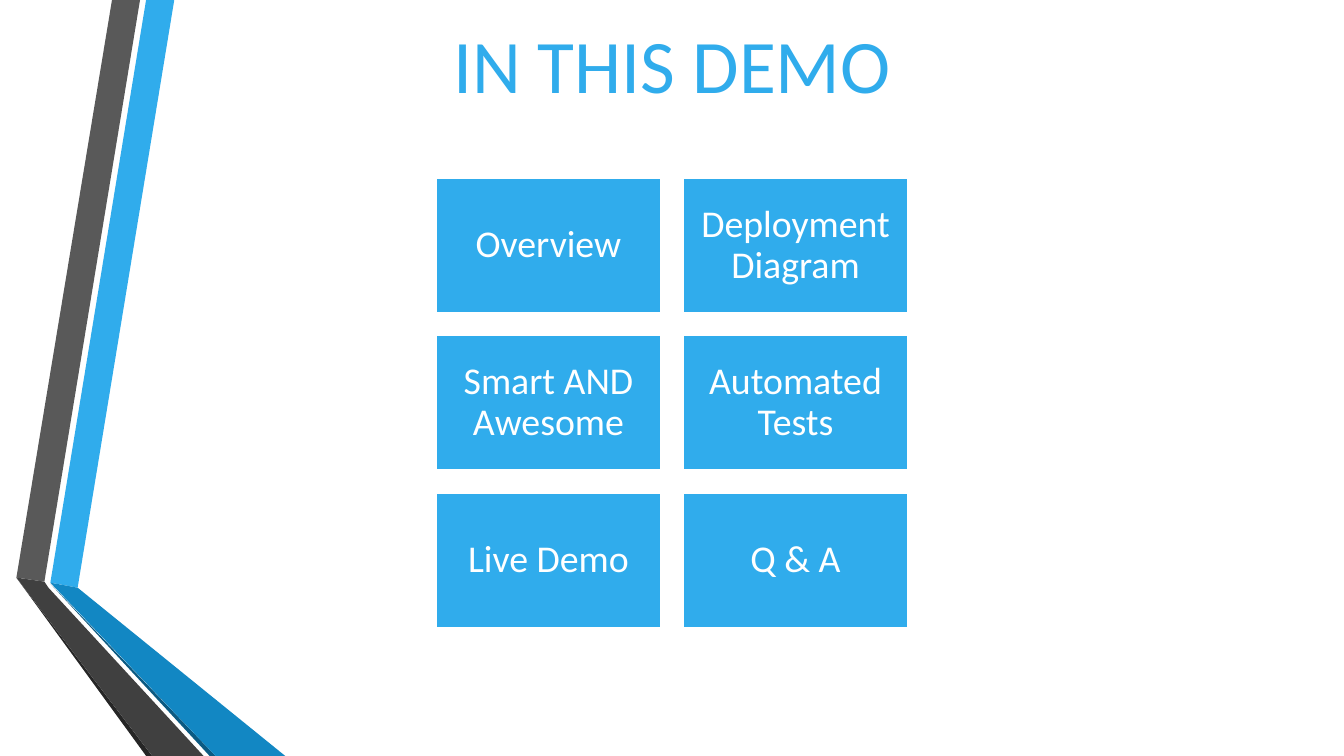
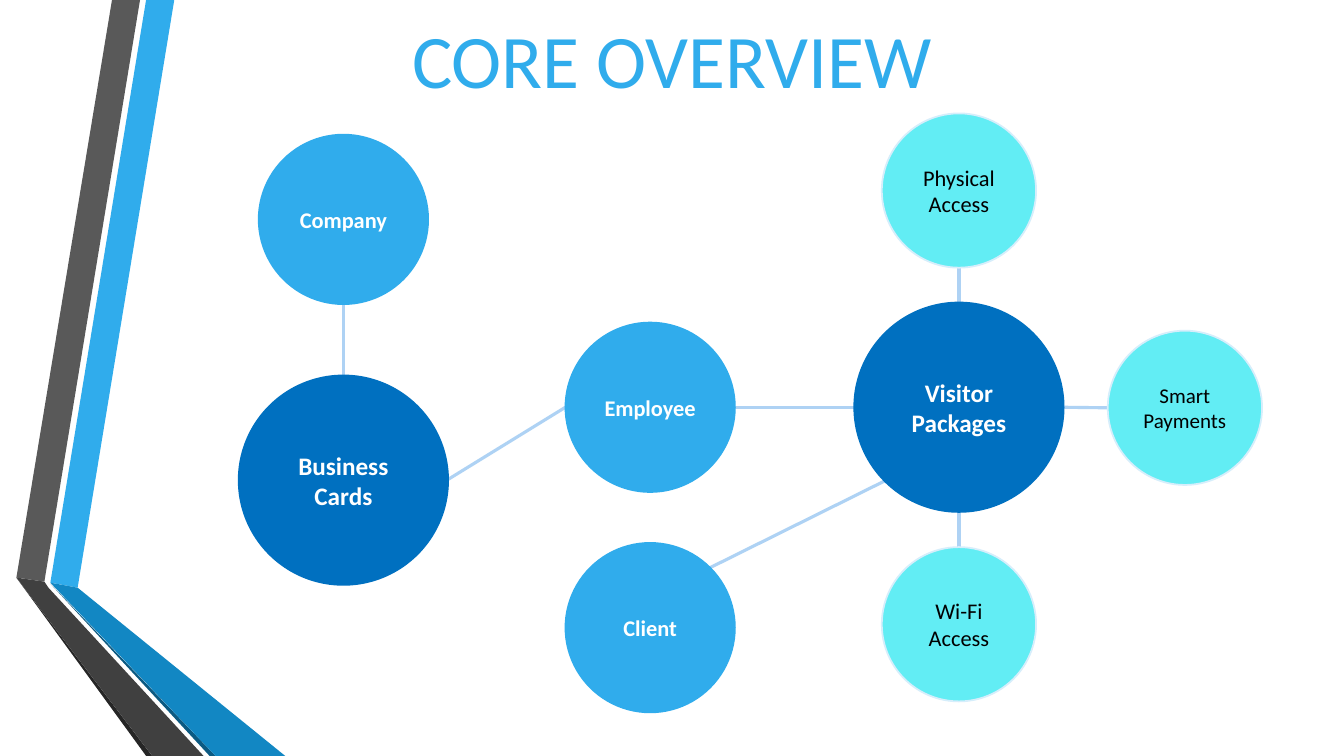
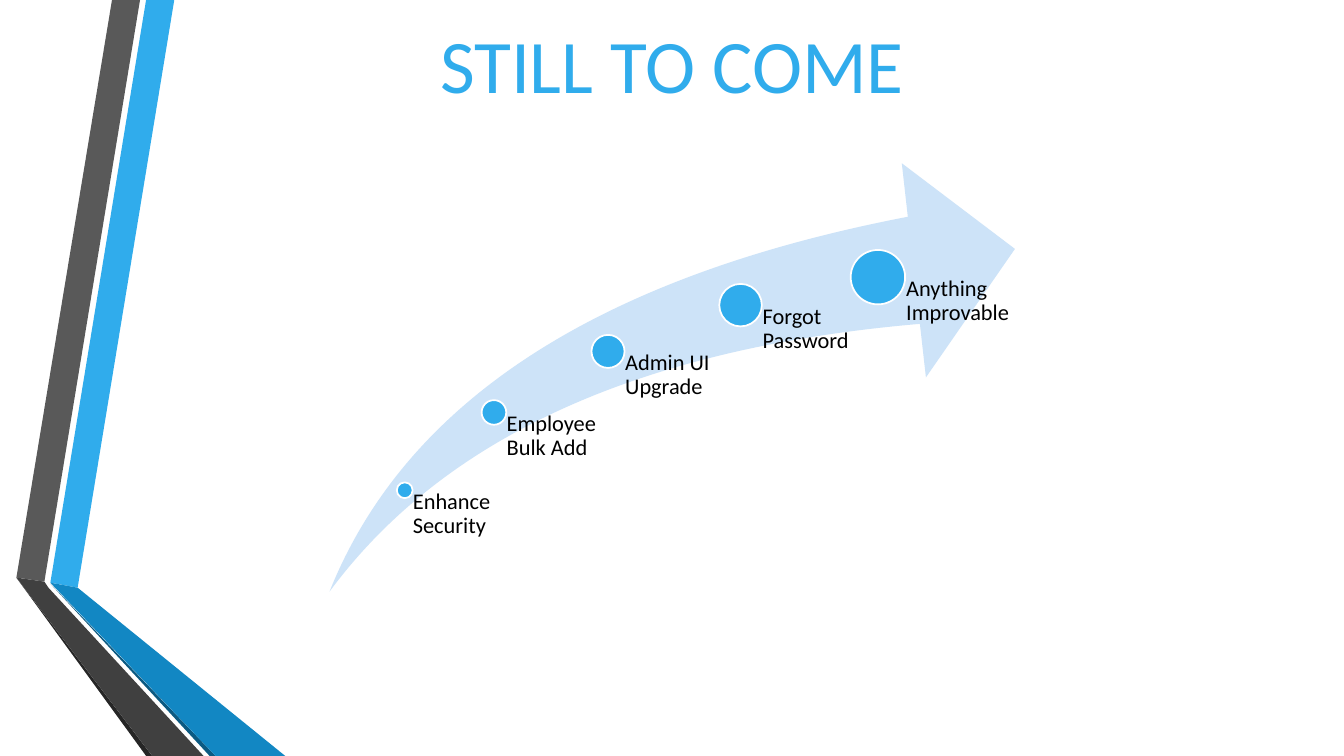
"""Build a three-slide demo deck: agenda tiles, core overview and roadmap."""
from math import cos, radians, sin

from lxml import etree
from pptx import Presentation
from pptx.dml.color import RGBColor
from pptx.enum.shapes import MSO_CONNECTOR, MSO_SHAPE
from pptx.enum.text import MSO_ANCHOR, MSO_AUTO_SIZE, PP_ALIGN
from pptx.oxml.ns import qn
from pptx.util import Pt

RECTANGLE, OVAL, SWOOSH = MSO_SHAPE.RECTANGLE, MSO_SHAPE.OVAL, MSO_SHAPE.SWOOSH_ARROW
STRAIGHT = MSO_CONNECTOR.STRAIGHT
LEFT, CENTER = PP_ALIGN.LEFT, PP_ALIGN.CENTER
TOP, MIDDLE = MSO_ANCHOR.TOP, MSO_ANCHOR.MIDDLE
NO_AUTOFIT = MSO_AUTO_SIZE.NONE

WIDTH, HEIGHT = 960, 540
FONT = "Calibri"
WHITE, BLACK = "FFFFFF", "000000"
BLUE, DEEP_BLUE, CYAN = "30ACEC", "0070C0", "62EDF4"
PALE_CYAN, LINK_BLUE, ARROW_BLUE = "D6EEFB", "AED2F4", "CDE3F8"

BANDS = [
    (BLUE, [(36, 416.2), (55.5, 419.8), (124.5, 0), (104.4, 0)]),
    ("595959", [(100, 0), (80, 0), (11.7, 412.6), (31.7, 415.5)]),
    ("262626", [(11.7, 412.6), (104.4, 540), (108.7, 540)]),
    ("0C5A82", [(36, 416.9), (149.8, 540), (154.1, 540)]),
    ("1287C3", [(36, 416.2), (154.1, 540), (203.8, 540), (55.5, 419.8)]),
    ("404040", [(145.4, 540), (34.6, 419.8), (31.7, 415.5), (11.7, 412.6), (108.7, 540)]),
]

TOPICS = ["Overview", "Deployment Diagram", "Smart AND Awesome",
          "Automated Tests", "Live Demo", "Q & A"]

NODE_STYLES = {
    "hub": dict(diameter=147.8, fill=DEEP_BLUE, line=DEEP_BLUE, line_width=3,
                size=18, color=WHITE, bold=True),
    "person": dict(diameter=121, fill=BLUE, line=BLUE, line_width=1.25,
                   size=16, color=WHITE, bold=True),
    "service": dict(diameter=110.2, fill=CYAN, line=PALE_CYAN, line_width=1.25,
                    size=16, color=BLACK, bold=False),
}
NODES = {
    "Employee": ("person", 464.4, 290.9),
    "Visitor Packages": ("hub", 685, 290.9),
    "Wi-Fi Access": ("service", 685, 445.9),
    "Physical Access": ("service", 685, 136.1),
    "Smart Payments": ("service", 846.4, 291.3),
    "Company": ("person", 245.3, 156.7),
    "Client": ("person", 464.4, 448.3),
    "Business Cards": ("hub", 245.3, 343),
}
SMALLER_LABELS = {"Smart Payments": 15}
LINKS = [
    ("Company", 90, "Business Cards", 270),
    ("Employee", 180, "Business Cards", 0),
    ("Visitor Packages", 180, "Employee", 0),
    ("Visitor Packages", 135, "Client", 315),
    ("Physical Access", 90, "Visitor Packages", 270),
    ("Visitor Packages", 90, "Wi-Fi Access", 270),
    ("Smart Payments", 180, "Visitor Packages", 0),
]

ARROW = (235.4, 116.6, 489.6, 306)
STEPS = [
    ("Enhance Security", 289.1, 350.2, 11.3, 64),
    ("Employee Bulk Add", 352.8, 294.6, 17.6, 81.4),
    ("Admin UI Upgrade", 434.3, 251, 23.6, 94.3),
    ("Forgot Password", 529, 218, 30.4, 97.9),
    ("Anything Improvable", 627.1, 198, 38.9, 97.9),
]


def rgb(color):
    """Turn a hex string into a colour."""
    return RGBColor.from_string(color)


class Deck:
    """Hold the shared style and the slide being built."""

    def __init__(self):
        """Start an empty widescreen presentation."""
        self.presentation = Presentation()
        self.presentation.slide_width = Pt(WIDTH)
        self.presentation.slide_height = Pt(HEIGHT)
        self.slide = None

    def add_slide(self, title, top):
        """Add a slide with the bands and a centred title."""
        self.slide = self.presentation.slides.add_slide(self.presentation.slide_layouts[5])
        for color, points in BANDS:
            self.band(color, points)
        shape = self.slide.shapes.title
        shape.left, shape.top, shape.width, shape.height = Pt(260), Pt(top), Pt(440), Pt(72.7)
        self.set_text(shape, title, 54, BLUE)
        shape.text_frame.auto_size = NO_AUTOFIT

    def band(self, color, points):
        """Draw one filled polygon."""
        corners = [(Pt(x), Pt(y)) for x, y in points]
        builder = self.slide.shapes.build_freeform(*corners[0])
        builder.add_line_segments(corners[1:])
        self.paint(builder.convert_to_shape(), color)

    def paint(self, shape, fill, line=None, line_width=1.25):
        """Set the fill and outline of a shape and drop its shadow."""
        shape.shadow.inherit = False
        shape.fill.solid()
        shape.fill.fore_color.rgb = rgb(fill)
        if line:
            shape.line.color.rgb = rgb(line)
            shape.line.width = Pt(line_width)
        else:
            shape.line.fill.background()

    def set_text(self, shape, text, size, color, bold=False, align=CENTER, anchor=MIDDLE,
                 spacing=1, insets=(7.2, 3.6, 7.2, 3.6)):
        """Put one formatted paragraph in a shape."""
        frame = shape.text_frame
        frame.text = text
        frame.word_wrap = True
        frame.vertical_anchor = anchor
        frame.margin_left, frame.margin_top, frame.margin_right, frame.margin_bottom = map(Pt, insets)
        paragraph = frame.paragraphs[0]
        paragraph.alignment = align
        paragraph.line_spacing = spacing
        font = paragraph.runs[0].font
        font.name, font.size, font.bold = FONT, Pt(size), bold
        font.color.rgb = rgb(color)

    def shape(self, kind, left, top, width, height, fill, line=None, line_width=1.25):
        """Add a painted preset shape."""
        shape = self.slide.shapes.add_shape(kind, Pt(left), Pt(top), Pt(width), Pt(height))
        self.paint(shape, fill, line, line_width)
        return shape

    def circle(self, x, y, diameter, fill, line, line_width=1.25):
        """Add a circle around a centre."""
        return self.shape(OVAL, x - diameter / 2, y - diameter / 2, diameter, diameter,
                          fill, line, line_width)

    def label(self, text, left, top, width, height, inset):
        """Add a left-aligned caption."""
        box = self.slide.shapes.add_textbox(Pt(left), Pt(top), Pt(width), Pt(height))
        self.set_text(box, text, 16, BLACK, align=LEFT, anchor=TOP, spacing=0.9,
                      insets=(inset, 0, 0, 0))

    def link(self, start, end):
        """Join two points with a pale line."""
        connector = self.slide.shapes.add_connector(STRAIGHT, *map(Pt, start + end))
        connector.line.color.rgb = rgb(LINK_BLUE)
        connector.line.width = Pt(2.25)
        etree.SubElement(connector.element.spPr, qn("a:effectLst"))


def rim_point(name, angle):
    """Find the point on a node's edge at a clockwise angle from its right side."""
    style, x, y = NODES[name]
    radius = NODE_STYLES[style]["diameter"] / 2
    return x + radius * cos(radians(angle)), y + radius * sin(radians(angle))


def build_agenda(deck):
    """Build the grid of topics."""
    deck.add_slide("IN THIS DEMO", 8.6)
    width, height, gap, top = 160.4, 96.2, 16.1, 127.4
    left = (WIDTH - 2 * width - gap) / 2
    for index, topic in enumerate(TOPICS):
        row, column = divmod(index, 2)
        tile = deck.shape(RECTANGLE, left + column * (width + gap), top + row * (height + gap),
                          width, height, BLUE, WHITE)
        deck.set_text(tile, topic, 27, WHITE, spacing=0.9, insets=(8, 8, 8, 8))


def build_overview(deck):
    """Build the network of circles."""
    deck.add_slide("CORE OVERVIEW", 5)
    for start, start_angle, end, end_angle in LINKS:
        deck.link(rim_point(start, start_angle), rim_point(end, end_angle))
    for name, (kind, x, y) in NODES.items():
        style = NODE_STYLES[kind]
        node = deck.circle(x, y, style["diameter"], style["fill"], style["line"],
                           style["line_width"])
        size = SMALLER_LABELS.get(name, style["size"])
        deck.set_text(node, name, size, style["color"], style["bold"])


def build_roadmap(deck):
    """Build the rising arrow with its steps."""
    deck.add_slide("STILL TO COME", 8.6)
    arrow = deck.shape(SWOOSH, *ARROW, ARROW_BLUE)
    arrow.adjustments[0] = arrow.adjustments[1] = 0.25
    bottom = ARROW[1] + ARROW[3]
    for text, x, y, diameter, width in STEPS:
        deck.circle(x, y, diameter, BLUE, WHITE)
        deck.label(text, x, y, width, bottom - y, 0.52 * diameter)


def main():
    """Build and save the deck."""
    deck = Deck()
    build_agenda(deck)
    build_overview(deck)
    build_roadmap(deck)
    deck.presentation.save("out.pptx")


if __name__ == "__main__":
    main()
